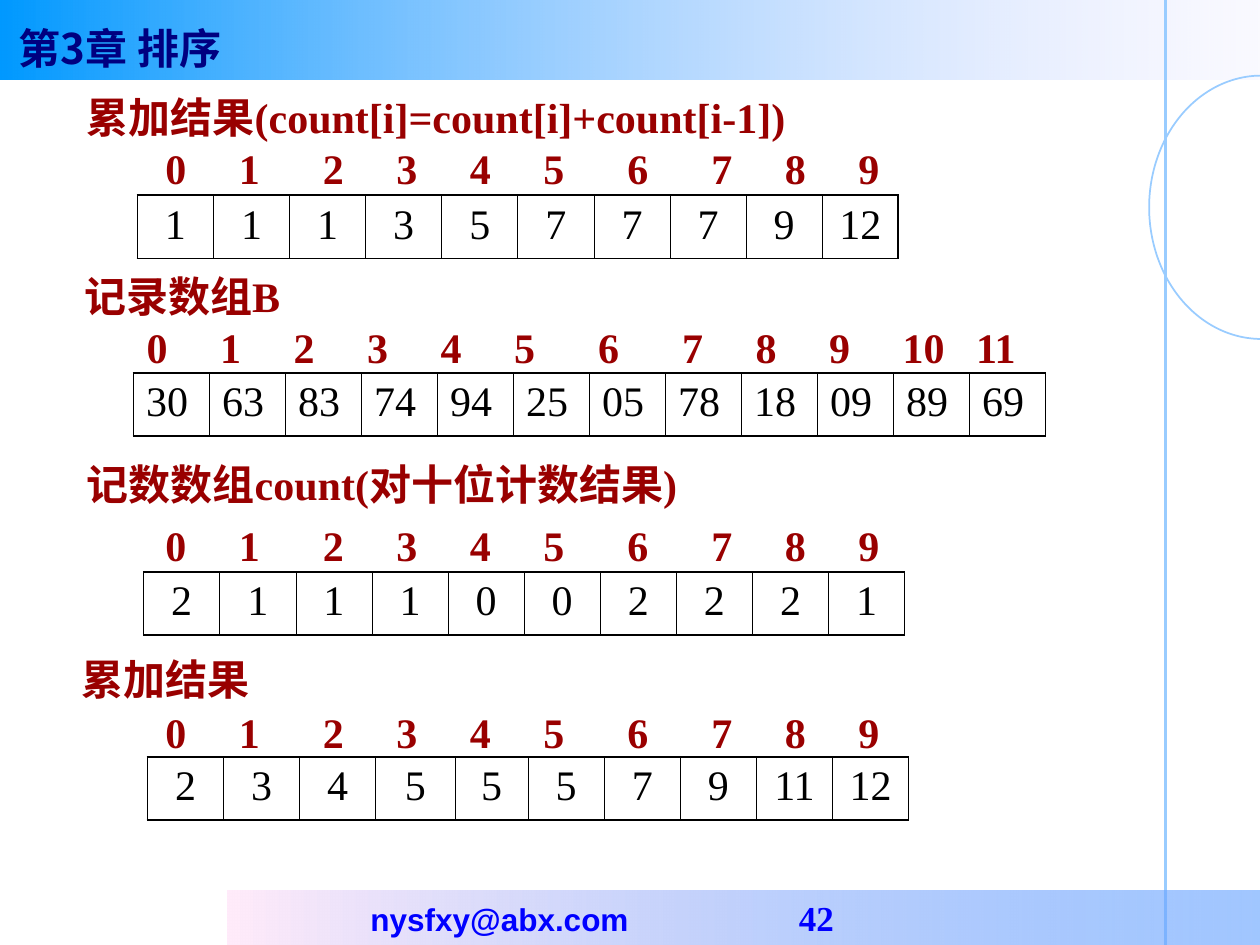
from dataclasses import dataclass

from lxml.etree import SubElement
from pptx import Presentation
from pptx.dml.color import RGBColor
from pptx.enum.shapes import MSO_CONNECTOR, MSO_SHAPE
from pptx.enum.text import MSO_ANCHOR, PP_ALIGN
from pptx.oxml import parse_xml
from pptx.oxml.ns import nsdecls, qn
from pptx.util import Inches, Pt

SERIF = "Times New Roman"
CHINESE = "Noto Sans CJK SC"
DARK_RED, PALE_BLUE, BLACK = "990000", "99CCFF", "000000"
ROW_HEIGHT = 0.5
INDEX_UNIT = 1 / 12  # width of one space at 24 pt
INDEX_INSET = 4 * INDEX_UNIT
TEN_STOPS = (7, 15, 22, 29, 36, 44, 52, 59, 66)
TWELVE_STOPS = (7, 14, 21, 28, 35, 43, 51, 58, 65, 72, 79)


@dataclass
class ArrayBlock:
    heading: str
    heading_box: tuple[float, float, float]
    index_box: tuple[float, float, float]
    table_corner: tuple[float, float]
    values: str
    index_stops: tuple[int, ...] = TEN_STOPS
    alignment: PP_ALIGN = PP_ALIGN.CENTER
    widths: tuple[float, ...] = (0.6,) * 10


BLOCKS = [
    ArrayBlock("记录数组B", (0.57, 2.1, 1.91), (0.83, 2.49, 7.64), (1.06, 2.96),
               "30 63 83 74 94 25 05 78 18 09 89 69", TWELVE_STOPS,
               PP_ALIGN.LEFT, (7.24 / 12,) * 12),
    ArrayBlock("记数数组count(对十位计数结果)", (0.59, 3.59, 5.2), (0.98, 4.06, 6.54),
               (1.14, 4.54), "2 1 1 1 0 0 2 2 2 1", widths=(6.04 / 10,) * 10),
    ArrayBlock("累加结果(count[i]=count[i]+count[i-1])", (0.59, 0.68, 6.54),
               (0.98, 1.07, 6.54), (1.09, 1.55), "1 1 1 3 5 7 7 7 9 12",
               widths=(6.04 / 10,) * 10),
    ArrayBlock("累加结果", (0.55, 5.14, 1.85), (0.98, 5.55, 6.54), (1.17, 6.01),
               "2 3 4 5 5 5 7 9 11 12",
               widths=(6.04 / 10,) * 3 + (0.63, 0.58) + (6.04 / 10,) * 5),
]


def color(value: str) -> RGBColor:
    return RGBColor.from_string(value)


def set_font(font, size: float, value: str, name: str = SERIF, bold: bool = True) -> None:
    font.size, font.bold, font.name = Pt(size), bold, name
    font.color.rgb = color(value)
    font._element.find(qn("a:latin")).addnext(
        parse_xml(f'<a:ea {nsdecls("a")} typeface="{CHINESE}"/>'))


def set_tabs(paragraph, positions: list[float]) -> None:
    """Add left tab stops; call before setting the paragraph font."""
    tab_list = SubElement(paragraph._p.get_or_add_pPr(), qn("a:tabLst"))
    for position in positions:
        SubElement(tab_list, qn("a:tab"), pos=str(Inches(position)), algn="l")


def add_gradient_bar(slide, box: tuple[float, ...], stops: list[tuple[str, int]]):
    """Add a left-to-right gradient; each stop is a colour and its opacity in percent."""
    bar = slide.shapes.add_shape(MSO_SHAPE.RECTANGLE, *map(Inches, box))
    bar.shadow.inherit = False
    bar.line.fill.background()
    bar.fill.gradient()
    bar.fill.gradient_angle = 0
    for stop, (value, opacity) in zip(bar.fill.gradient_stops, stops):
        stop.color.rgb = color(value)
        if opacity < 100:
            srgb = stop._gs.find(qn("a:srgbClr"))
            SubElement(srgb, qn("a:alpha"), val=str(opacity * 1000))
    return bar


def add_decoration(slide) -> None:
    arc = slide.shapes.add_shape(
        MSO_SHAPE.ARC, Inches(9.12), Inches(0.6), Inches(1.78), Inches(2.09))
    arc.adjustments[0], arc.adjustments[1] = 54, 162  # 90° to 270°
    arc.shadow.inherit = False
    arc.fill.background()
    line = slide.shapes.add_connector(
        MSO_CONNECTOR.STRAIGHT, Inches(9.25), 0, Inches(9.25), Inches(7.5))
    SubElement(line._element.spPr, qn("a:effectLst"))
    for shape, width in ((arc, 1), (line, 1.5)):
        shape.line.color.rgb = color(PALE_BLUE)
        shape.line.width = Pt(width)


def add_title(slide) -> None:
    title = slide.shapes.title
    slide.shapes._spTree.append(title._element)  # in front of the header bar
    title.left, title.top, title.width, title.height = map(Inches, (0.15, 0.13, 2, 0.34))
    frame = title.text_frame
    frame.text = "第3章 排序"
    frame.word_wrap = True
    frame.margin_left = frame.margin_right = 0
    frame.vertical_anchor = MSO_ANCHOR.TOP
    frame.paragraphs[0].alignment = PP_ALIGN.LEFT
    set_font(frame.paragraphs[0].font, 24, "000080", CHINESE)


def add_footer(slide) -> None:
    bar = add_gradient_bar(slide, (1.81, 7.07, 8.23, 0.43), [("FFEBFA", 100), ("5E9EFF", 58)])
    frame = bar.text_frame
    frame.margin_left = Inches(1.13)
    frame.vertical_anchor = MSO_ANCHOR.MIDDLE
    paragraph = frame.paragraphs[0]
    paragraph.alignment = PP_ALIGN.LEFT
    set_tabs(paragraph, [3.4])
    for text, size, name in (("nysfxy@abx.com", 18, "Arial"), ("\t42", 20, SERIF)):
        run = paragraph.add_run()
        run.text = text
        set_font(run.font, size, "0000FF", name)


def add_text(slide, box: tuple[float, float, float], height: float, text: str):
    left, top, width = box
    frame = slide.shapes.add_textbox(
        Inches(left), Inches(top), Inches(width), Inches(height)).text_frame
    frame.word_wrap = True
    frame.text = text
    return frame


def add_index_row(slide, block: ArrayBlock) -> None:
    labels = "\t".join(str(index) for index in range(len(block.widths)))
    frame = add_text(slide, block.index_box, 0.48, labels)
    frame.margin_left, frame.margin_top = Inches(INDEX_INSET), 0
    paragraph = frame.paragraphs[0]
    paragraph.line_spacing = 1.15
    set_tabs(paragraph, [stop * INDEX_UNIT for stop in block.index_stops])
    set_font(paragraph.font, 24, DARK_RED)


def set_borders(cell, left: float, right: float) -> None:
    properties = cell._tc.get_or_add_tcPr()
    sides = (("L", left), ("R", right), ("T", 1.08), ("B", 1.08))
    for position, (side, width) in enumerate(sides):
        properties.insert(position, parse_xml(
            f'<a:ln{side} {nsdecls("a")} w="{Pt(width)}"><a:solidFill>'
            f'<a:srgbClr val="{BLACK}"/></a:solidFill></a:ln{side}>'))


def add_array_table(slide, block: ArrayBlock) -> None:
    left, top = block.table_corner
    count = len(block.widths)
    table = slide.shapes.add_table(
        1, count, Inches(left), Inches(top),
        Inches(sum(block.widths)), Inches(ROW_HEIGHT)).table
    table.first_row = table.horz_banding = False
    for index, (value, width) in enumerate(zip(block.values.split(), block.widths)):
        table.columns[index].width = Inches(width)
        cell = table.cell(0, index)
        cell.text = value
        cell.fill.background()
        set_borders(cell, 1.08 if index == 0 else 0.45, 1.08 if index == count - 1 else 0.45)
        paragraph = cell.text_frame.paragraphs[0]
        paragraph.alignment = block.alignment
        paragraph.space_before = Pt(6)
        set_font(paragraph.font, 24, BLACK, bold=False)


def main() -> None:
    presentation = Presentation()
    presentation.slide_width, presentation.slide_height = Inches(10), Inches(7.5)
    slide = presentation.slides.add_slide(presentation.slide_layouts[5])
    add_gradient_bar(slide, (0, 0, 10, 0.63), [("0099FF", 100), ("CCCCFF", 10)])
    add_decoration(slide)
    add_footer(slide)
    add_title(slide)
    for block in BLOCKS:
        heading = add_text(slide, block.heading_box, 0.5, block.heading)
        set_font(heading.paragraphs[0].font, 24, DARK_RED)
        add_index_row(slide, block)
        add_array_table(slide, block)
    presentation.save("out.pptx")


if __name__ == "__main__":
    main()
